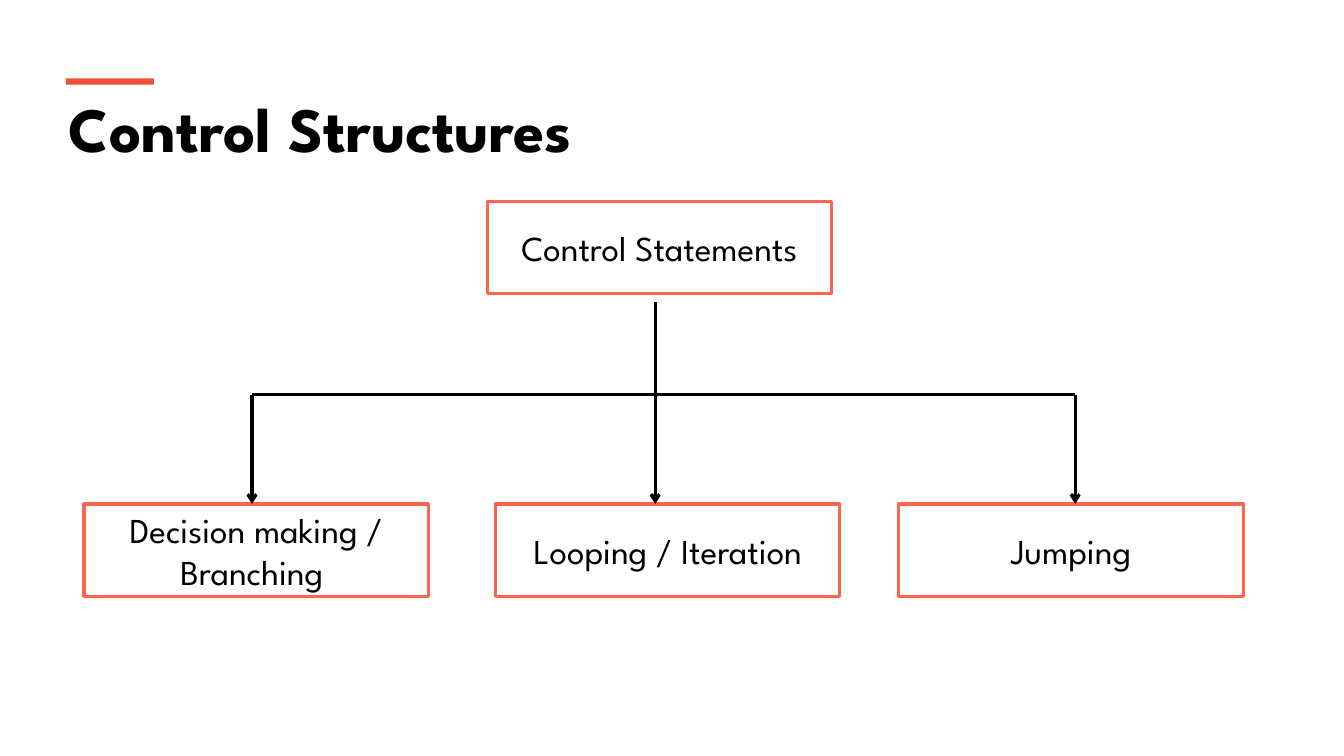
import pptx
import pptx.dml.color
import pptx.enum.shapes
import pptx.enum.text
import pptx.oxml.ns
import pptx.util
from lxml import etree

Pt = pptx.util.Pt
RGBColor = pptx.dml.color.RGBColor
BLACK = RGBColor(0x00, 0x00, 0x00)
ACCENT = RGBColor(0xF0, 0x51, 0x36)
OUTLINE = RGBColor(0xFF, 0x64, 0x4E)

BOX_WIDTH, BOX_HEIGHT = 246, 66
ROOT_LEFT, ROOT_TOP = 348, 144
STEM_X, STEM_TOP = 468, 216
BUS_Y, BRANCH_TOP = 282, 360
# Label, box left, arrow x
BRANCHES = [
    ("Decision making / Branching ", 60, 180),
    ("Looping / Iteration", 354, STEM_X),
    ("Jumping", 642, 768),
]


class DiagramSlide:
    font_name = "League Spartan"
    line_width = 2.25

    def __init__(self, slide):
        self.slide = slide

    def set_font(self, paragraph, size, bold=False):
        paragraph.font.name = self.font_name
        paragraph.font.size = Pt(size)
        paragraph.font.bold = bold
        paragraph.font.color.rgb = BLACK

    def title(self, text, left, top, width, height):
        shape = self.slide.shapes.title
        shape.left, shape.top = Pt(left), Pt(top)
        shape.width, shape.height = Pt(width), Pt(height)
        frame = shape.text_frame
        frame.text = text
        frame.word_wrap = True
        frame.auto_size = pptx.enum.text.MSO_AUTO_SIZE.SHAPE_TO_FIT_TEXT
        frame.vertical_anchor = pptx.enum.text.MSO_ANCHOR.TOP
        paragraph = frame.paragraphs[0]
        paragraph.alignment = pptx.enum.text.PP_ALIGN.LEFT
        self.set_font(paragraph, 45, bold=True)

    def rectangle(self, left, top, width, height):
        shape = self.slide.shapes.add_shape(
            pptx.enum.shapes.MSO_SHAPE.RECTANGLE,
            Pt(left), Pt(top), Pt(width), Pt(height))
        shape.shadow.inherit = False
        return shape

    def accent_bar(self, left, top, width, height):
        shape = self.rectangle(left, top, width, height)
        shape.fill.solid()
        shape.fill.fore_color.rgb = ACCENT
        shape.line.fill.background()

    def box(self, text, left, top):
        shape = self.rectangle(left, top, BOX_WIDTH, BOX_HEIGHT)
        shape.fill.background()
        shape.line.color.rgb = OUTLINE
        shape.line.width = Pt(self.line_width)
        frame = shape.text_frame
        frame.text = text
        frame.word_wrap = True
        frame.vertical_anchor = pptx.enum.text.MSO_ANCHOR.MIDDLE
        paragraph = frame.paragraphs[0]
        paragraph.alignment = pptx.enum.text.PP_ALIGN.CENTER
        self.set_font(paragraph, 25)

    def line(self, start_x, start_y, end_x, end_y, arrow=False):
        connector = self.slide.shapes.add_connector(
            pptx.enum.shapes.MSO_CONNECTOR.STRAIGHT,
            Pt(start_x), Pt(start_y), Pt(end_x), Pt(end_y))
        connector.line.color.rgb = BLACK
        connector.line.width = Pt(self.line_width)
        if arrow:
            etree.SubElement(connector.line._get_or_add_ln(),
                             pptx.oxml.ns.qn("a:tailEnd"), type="arrow")
        etree.SubElement(connector._element.spPr,
                         pptx.oxml.ns.qn("a:effectLst"))


def main():
    presentation = pptx.Presentation()
    presentation.slide_width, presentation.slide_height = Pt(960), Pt(540)
    title_only = presentation.slide_layouts[5]
    diagram = DiagramSlide(presentation.slides.add_slide(title_only))

    diagram.title("Control Structures", 42, 60.5, 877, 62)
    diagram.accent_bar(47, 56, 63, 4.5)

    diagram.box("Control Statements", ROOT_LEFT, ROOT_TOP)
    diagram.line(STEM_X, STEM_TOP, STEM_X, BUS_Y)
    diagram.line(BRANCHES[0][2], BUS_Y, BRANCHES[-1][2], BUS_Y)
    for label, left, arrow_x in BRANCHES:
        diagram.box(label, left, BRANCH_TOP)
        diagram.line(arrow_x, BUS_Y, arrow_x, BRANCH_TOP, arrow=True)

    presentation.save("out.pptx")


if __name__ == "__main__":
    main()
